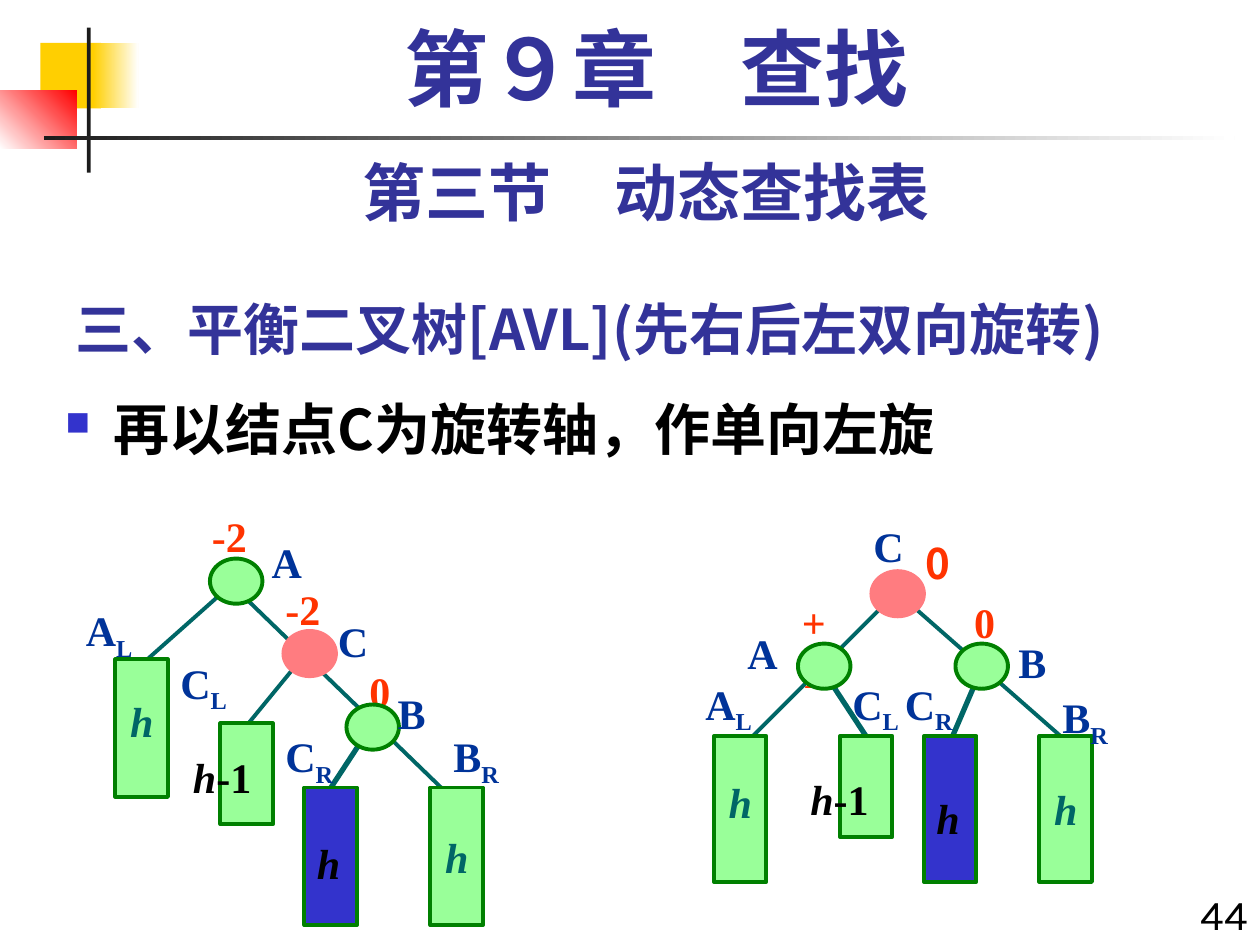
import pptx
import pptx.util
import pptx.dml.color
import pptx.enum.shapes
import pptx.enum.text
import pptx.oxml.ns
from lxml import etree

RGBColor = pptx.dml.color.RGBColor
SHAPES = pptx.enum.shapes.MSO_SHAPE
ALIGN = pptx.enum.text.PP_ALIGN
ANCHOR = pptx.enum.text.MSO_ANCHOR
Inches = pptx.util.Inches
qn = pptx.oxml.ns.qn

WHITE = RGBColor(0xFF, 0xFF, 0xFF)
BLACK = RGBColor(0, 0, 0)
INK = RGBColor(0x1C, 0x1C, 0x1C)
YELLOW = RGBColor(0xFF, 0xCF, 0x01)
RED = RGBColor(0xFF, 0, 0)
INDIGO = RGBColor(0x33, 0x33, 0x99)
BLUE = RGBColor(0x33, 0x33, 0xCC)
LABEL = RGBColor(0x00, 0x33, 0x99)
FACTOR = RGBColor(0xFF, 0x33, 0x00)
TEAL = RGBColor(0x00, 0x66, 0x66)
GREEN = RGBColor(0x00, 0x80, 0x00)
MINT = RGBColor(0x99, 0xFF, 0x99)
PINK = RGBColor(0xFF, 0x7C, 0x80)

SERIF, SANS, CJK = "Times New Roman", "Karla", "Noto Sans CJK SC"
CELL = 1 / 12  # tree grid step, in inches
LABEL_WIDTHS = {"A": 0.44, "B": 0.42, "C": 0.44, "A_L": 0.59, "C_L": 0.59, "C_R": 0.6,
                "B_R": 0.58, "0": 0.37, "-2": 0.48, "+1": 0.54, "h": 0.39, "h-1": 0.66}

# Trees in grid cells: edges (x1, y1, x2, y2, width), factors (text, x, y, font),
# subtrees (x, y, height, fill, text spacing or None), nodes (x, y, fill),
# labels (text, x, y)
BEFORE = dict(
    edges=[(29, 21.7, 25, 27.8, 3), (15, 8.6, 6, 16.6, 2.25),
           (17, 8.6, 36, 27, 2.25), (22, 15.6, 17, 21.7, 2.25)],
    factors=[("0", 28, 14.8, SERIF), ("-2", 13, 0, SERIF), ("-2", 20, 7, SERIF)],
    subtrees=[(5, 14.8, 13.1, MINT, 0.6), (15, 20.9, 9.6, MINT, None),
              (23, 27, 13.1, BLUE, None), (35, 27, 13.1, MINT, 1)],
    nodes=[(14, 5.2, MINT), (21, 12.1, PINK), (27, 19.1, MINT)],
    labels=[("A", 18.7, 2.5), ("B", 30.7, 16.9), ("C", 25, 10), ("A_L", 1, 9),
            ("C_L", 10, 14), ("C_R", 20, 21), ("B_R", 36, 21),
            ("h-1", 11.2, 23), ("h", 23, 31.2)])
AFTER = dict(
    edges=[(27, 16.8, 24, 23.8, 3), (21, 9.8, 35, 22.1, 2.25),
           (18, 9.8, 4, 23.8, 2.25), (13, 16.8, 17, 22.9, 3)],
    factors=[("0", 21, 2.6, CJK), ("+1", 9.2, 8.2, SERIF), ("0", 25.6, 8.2, SERIF)],
    subtrees=[(2, 22.1, 13.9, MINT, 0.6), (14, 22.1, 9.6, MINT, None),
              (22, 22.1, 13.9, BLUE, None), (33, 22.1, 13.9, MINT, 1)],
    nodes=[(10, 13.3, MINT), (17, 6.4, PINK), (25, 13.3, MINT)],
    labels=[("A", 4, 11.2), ("B", 29.8, 12), ("C", 16, 1), ("A_L", 0, 16),
            ("C_L", 14, 16), ("C_R", 19, 16), ("B_R", 34, 17.3),
            ("h-1", 10, 25.1), ("h", 22, 26.9)])


def style_paragraph(paragraph, size, name, color, bold=True):
    font = paragraph.font
    font.size, font.bold, font.name = pptx.util.Pt(size), bold, name
    font.color.rgb = color
    defaults = paragraph._p.pPr.find(qn("a:defRPr"))
    east_asian = etree.Element(qn("a:ea"), typeface=CJK)
    defaults.find(qn("a:latin")).addnext(east_asian)


def add_text(slide, box, text, size, name, color, align=ALIGN.LEFT, bold=True,
             wrap=True, anchor=ANCHOR.TOP):
    shape = slide.shapes.add_textbox(*map(Inches, box))
    frame = shape.text_frame
    frame.word_wrap, frame.vertical_anchor = wrap, anchor
    paragraph = frame.paragraphs[0]
    paragraph.alignment = align
    if text:
        paragraph.add_run().text = text
    style_paragraph(paragraph, size, name, color, bold)
    return paragraph


def add_block(slide, kind, box, fill, line=None):
    shape = slide.shapes.add_shape(kind, *map(Inches, box))
    shape.shadow.inherit = False
    if isinstance(fill, tuple) and not isinstance(fill, RGBColor):
        start, end, angle = fill
        shape.fill.gradient()
        shape.fill.gradient_angle = angle
        for stop, color, position in zip(shape.fill.gradient_stops, (start, end), (0, 1)):
            stop.color.rgb, stop.position = color, position
    else:
        shape.fill.solid()
        shape.fill.fore_color.rgb = fill
    if line is None:
        shape.line.fill.background()
    else:
        shape.line.color.rgb, shape.line.width = line, pptx.util.Pt(2.25)
    return shape


def add_decoration(slide):
    for box, fill in (((0.32, 0.34, 0.48, 0.52), YELLOW),
                      ((0.74, 0.34, 0.36, 0.52), (YELLOW, WHITE, 0)),
                      ((0, 0.72, 0.61, 0.46), (WHITE, RED, 45)),
                      ((0.69, 0.22, 0.03, 1.15), INK),
                      ((0.35, 1.08, 9.45, 0.03), (INK, WHITE, 0))):
        add_block(slide, SHAPES.RECTANGLE, box, fill)


def add_headings(slide):
    chapter = add_text(slide, (0.67, 0.17, 9.08, 0.83), "第９章　查找", 48, SERIF, INDIGO,
                       ALIGN.CENTER)
    chapter.line_spacing = 0.9
    add_text(slide, (0.5, 1.17, 9.25, 0.7), "第三节　动态查找表", 36, SANS, INDIGO, ALIGN.CENTER)
    add_text(slide, (0.5, 2.17, 8.75, 0.75), "三、平衡二叉树[AVL](先右后左双向旋转)", 32, CJK,
             INDIGO, anchor=ANCHOR.BOTTOM)
    add_text(slide, (9.33, 7, 0.67, 0.5), "44", 24, SANS, BLACK, ALIGN.RIGHT, bold=False)


def add_bullet(slide, box, text):
    paragraph = add_text(slide, box, text, 32, CJK, BLACK)
    properties = paragraph._p.get_or_add_pPr()
    properties.set("marL", str(Inches(0.38)))
    properties.set("indent", str(-Inches(0.38)))
    color = etree.Element(qn("a:buClr"))
    etree.SubElement(color, qn("a:srgbClr"), val=str(BLUE))
    bullet = (color, etree.Element(qn("a:buSzPct"), val="60000"),
              etree.Element(qn("a:buChar"), char="■"))
    for position, element in enumerate(bullet):
        properties.insert(position, element)


def add_label(slide, text, box, color, name=SERIF):
    """Underscore marks a subscript; a leading h is italic."""
    paragraph = add_text(slide, box, "", 24, name, color, wrap=False)
    base, _, subscript = text.partition("_")
    if base.startswith("h"):
        height = paragraph.add_run()
        height.text, height.font.italic = "h", True
        base = base[1:]
    if base:
        paragraph.add_run().text = base
    if subscript:
        run = paragraph.add_run()
        run.text = subscript
        run._r.get_or_add_rPr().set("baseline", "-25000")


def add_tree(slide, left, top, tree):
    def place(x, y):
        return left + x * CELL, top + y * CELL

    # Edges
    for x1, y1, x2, y2, width in tree["edges"]:
        ends = map(Inches, place(x1, y1) + place(x2, y2))
        edge = slide.shapes.add_connector(pptx.enum.shapes.MSO_CONNECTOR.STRAIGHT, *ends)
        edge.line.color.rgb, edge.line.width = TEAL, pptx.util.Pt(width)
        etree.SubElement(edge._element.spPr, qn("a:effectLst"))
    # Balance factors
    for text, x, y, name in tree["factors"]:
        add_label(slide, text, place(x, y) + (LABEL_WIDTHS[text], 0.5), FACTOR, name)
    # Subtrees
    for x, y, height, fill, spacing in tree["subtrees"]:
        box = place(x, y) + (5 * CELL, height * CELL)
        shape = add_block(slide, SHAPES.RECTANGLE, box, fill, GREEN)
        if spacing:
            frame = shape.text_frame
            frame.word_wrap, frame.vertical_anchor = False, ANCHOR.MIDDLE
            paragraph = frame.paragraphs[0]
            paragraph.alignment, paragraph.line_spacing = ALIGN.CENTER, spacing
            paragraph.add_run().text = "h"
            style_paragraph(paragraph, 24, SERIF, TEAL)
            paragraph.font.italic = True
    # Nodes
    for x, y, fill in tree["nodes"]:
        add_block(slide, SHAPES.OVAL, place(x, y) + (5 * CELL, 4.3 * CELL), fill,
                  PINK if fill == PINK else GREEN)
    # Names and heights
    for text, x, y in tree["labels"]:
        add_label(slide, text, place(x, y) + (LABEL_WIDTHS[text], 0.5),
                  BLACK if text.startswith("h") else LABEL)


def main():
    presentation = pptx.Presentation()
    presentation.slide_width, presentation.slide_height = Inches(10), Inches(7.5)
    slide = presentation.slides.add_slide(presentation.slide_layouts[6])
    add_decoration(slide)
    add_headings(slide)
    add_bullet(slide, (0.42, 3.08, 9.58, 4.42), "再以结点C为旋转轴，作单向左旋")
    add_tree(slide, 0.5, 4, BEFORE)
    add_tree(slide, 5.5, 4, AFTER)
    presentation.save("out.pptx")


if __name__ == "__main__":
    main()
